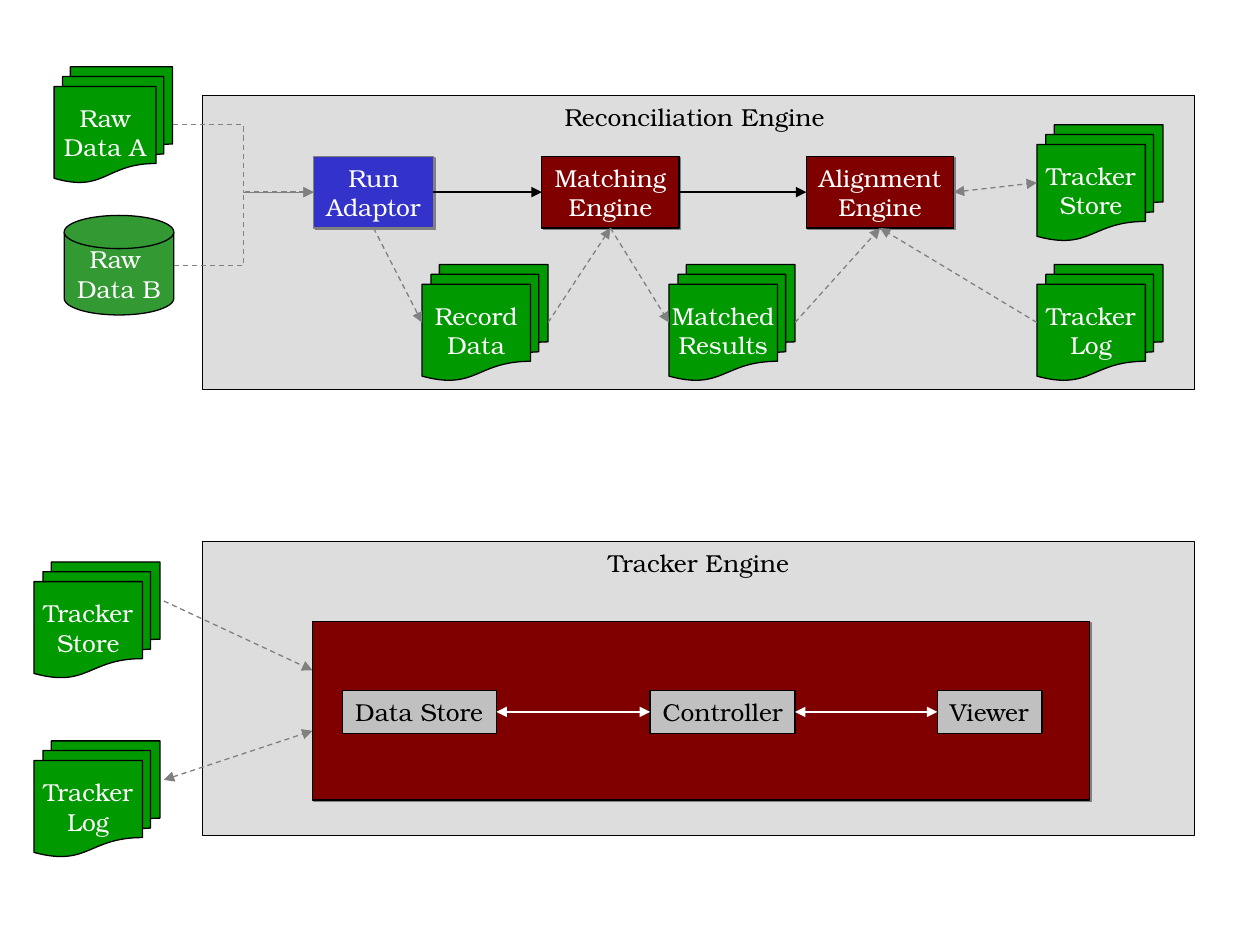
from lxml.etree import SubElement
from pptx import Presentation
from pptx.dml.color import RGBColor
from pptx.enum.dml import MSO_LINE
from pptx.enum.shapes import MSO_CONNECTOR, MSO_SHAPE
from pptx.enum.text import MSO_ANCHOR, PP_ALIGN
from pptx.oxml.ns import qn
from pptx.util import Inches, Pt

BLACK = RGBColor(0x00, 0x00, 0x00)
WHITE = RGBColor(0xFF, 0xFF, 0xFF)
GREY = RGBColor(0x80, 0x80, 0x80)
SILVER = RGBColor(0xC0, 0xC0, 0xC0)
PANEL_GREY = RGBColor(0xDD, 0xDD, 0xDD)
MAROON = RGBColor(0x80, 0x00, 0x00)
BLUE = RGBColor(0x33, 0x33, 0xCC)
GREEN = RGBColor(0x00, 0x99, 0x00)
DISK_GREEN = RGBColor(0x33, 0x99, 0x33)

FONT = "TeX Gyre Bonum"
COLUMNS, ROWS = 100, 75
TOP, LEFT, BOTTOM, RIGHT = range(4)


def write_text(shape, text, color=WHITE, align=PP_ALIGN.CENTER,
               anchor=MSO_ANCHOR.MIDDLE, wrap=False):
    frame = shape.text_frame
    frame.word_wrap = wrap
    frame.vertical_anchor = anchor
    for index, line in enumerate(text.split("\n")):
        para = frame.add_paragraph() if index else frame.paragraphs[0]
        para.alignment = align
        span = para.add_run()
        span.text = line
        span.font.name = FONT
        span.font.size = Pt(14)
        span.font.color.rgb = color


class Diagram:
    """Holds the style and the current page; lengths are columns and rows."""

    def __init__(self, deck):
        self.page = deck.slides.add_slide(deck.slide_layouts[6])
        self.column = deck.slide_width / COLUMNS
        self.row = deck.slide_height / ROWS

    def shape(self, kind, left, top, width, height, fill, line=BLACK):
        shape = self.page.shapes.add_shape(
            kind, round(left * self.column), round(top * self.row),
            round(width * self.column), round(height * self.row))
        shape.shadow.inherit = False
        shape.fill.solid()
        shape.fill.fore_color.rgb = fill
        shape.line.color.rgb = line
        shape.line.width = Pt(0.75)
        return shape

    def panel(self, top, title):
        panel = self.shape(MSO_SHAPE.RECTANGLE, 16.1, top, 78.7, 23.3, PANEL_GREY)
        write_text(panel, title, color=BLACK, anchor=MSO_ANCHOR.TOP, wrap=True)

    def raised_box(self, left, top, width, height, text="", fill=MAROON, line=BLACK):
        box = self.shape(MSO_SHAPE.RECTANGLE, left, top, width, height, fill, line)
        effects = box._element.spPr.find(qn("a:effectLst"))
        shadow = SubElement(effects, qn("a:outerShdw"), dist=str(Pt(1.4)),
                            dir="2700000", algn="ctr", rotWithShape="0")
        SubElement(shadow, qn("a:srgbClr"), val=str(GREY))
        if text:
            write_text(box, text)
        return box

    def component(self, left, width, text):
        box = self.shape(MSO_SHAPE.RECTANGLE, left, 54.8, width, 3.4, SILVER)
        write_text(box, text, color=BLACK, align=PP_ALIGN.LEFT)
        return box

    def documents(self, left, top, text, width=10):
        stack = self.shape(MSO_SHAPE.FLOWCHART_MULTIDOCUMENT,
                           left, top, width, 9.2, GREEN)
        write_text(stack, text)
        return stack

    def disk(self, left, top, width, height, text):
        disk = self.shape(MSO_SHAPE.FLOWCHART_MAGNETIC_DISK,
                          left, top, width, height, DISK_GREEN)
        write_text(disk, text)
        return disk

    def point(self, end):
        """Turn (shape, side) or (column, row) into a place on the page."""
        target, side = end
        if isinstance(target, (int, float)):
            return round(target * self.column), round(side * self.row)
        across = {LEFT: 0, RIGHT: 2}.get(side, 1)
        down = {TOP: 0, BOTTOM: 2}.get(side, 1)
        return (target.left + target.width * across // 2,
                target.top + target.height * down // 2)

    def arrow(self, start, end, color=GREY, both=False, bent=False):
        kind = MSO_CONNECTOR.ELBOW if bent else MSO_CONNECTOR.STRAIGHT
        arrow = self.page.shapes.add_connector(
            kind, *self.point(start), *self.point(end))
        for (target, side), join in ((start, arrow.begin_connect),
                                     (end, arrow.end_connect)):
            if (not bent and not isinstance(target, (int, float))
                    and target.auto_shape_type == MSO_SHAPE.RECTANGLE):
                join(target, side)
        arrow.line.color.rgb = color
        arrow.line.width = Pt(0.75)
        if color == GREY:
            arrow.line.dash_style = MSO_LINE.DASH
        line = arrow._element.spPr.find(qn("a:ln"))
        if both:
            SubElement(line, qn("a:headEnd"), type="triangle")
        SubElement(line, qn("a:tailEnd"), type="triangle")
        SubElement(arrow._element.spPr, qn("a:effectLst"))


def main():
    deck = Presentation()
    deck.slide_width, deck.slide_height = Inches(10), Inches(7.5)
    diagram = Diagram(deck)
    arrow = diagram.arrow

    # Panels
    diagram.panel(43, "Tracker Engine")
    diagram.panel(7.6, "Reconciliation Engine ")

    # Reconciliation steps
    adaptor = diagram.raised_box(24.9, 12.4, 9.5, 5.7, "Run\nAdaptor", BLUE, GREY)
    matching = diagram.raised_box(43, 12.4, 10.9, 5.7, "Matching\nEngine")
    alignment = diagram.raised_box(64, 12.4, 11.7, 5.7, "Alignment\nEngine")

    # Reconciliation data
    raw_a = diagram.documents(4.3, 5.3, "Raw\nData A", width=9.4)
    raw_b = diagram.disk(5.1, 17.1, 8.7, 7.9, "Raw \nData B")
    record = diagram.documents(33.5, 21, "Record\nData")
    matched = diagram.documents(53.1, 21, "Matched\nResults")
    store = diagram.documents(82.3, 9.9, "Tracker\nStore")
    log = diagram.documents(82.3, 21, "Tracker\nLog")

    # Reconciliation flow
    for source in (raw_a, raw_b):
        arrow((source, RIGHT), (adaptor, LEFT), bent=True)
    arrow((adaptor, RIGHT), (matching, LEFT), BLACK)
    arrow((matching, RIGHT), (alignment, LEFT), BLACK)
    arrow((adaptor, BOTTOM), (record, LEFT))
    arrow((record, RIGHT), (matching, BOTTOM))
    arrow((matching, BOTTOM), (matched, LEFT))
    arrow((matched, RIGHT), (alignment, BOTTOM))
    arrow((alignment, RIGHT), (store, LEFT), both=True)
    arrow((log, LEFT), (alignment, BOTTOM))

    # Tracker engine and its components
    diagram.raised_box(24.8, 49.3, 61.7, 14.2)
    data_store = diagram.component(27.2, 12.2, "Data Store")
    controller = diagram.component(51.6, 11.5, "Controller")
    viewer = diagram.component(74.4, 8.3, "Viewer")
    arrow((data_store, RIGHT), (controller, LEFT), WHITE, both=True)
    arrow((controller, RIGHT), (viewer, LEFT), WHITE, both=True)

    # Tracker data
    diagram.documents(2.7, 44.6, "Tracker\nStore")
    diagram.documents(2.7, 58.8, "Tracker\nLog")
    arrow((13, 47.7), (24.8, 53.2))
    arrow((13, 61.9), (24.8, 58), both=True)

    deck.save("out.pptx")


if __name__ == "__main__":
    main()
